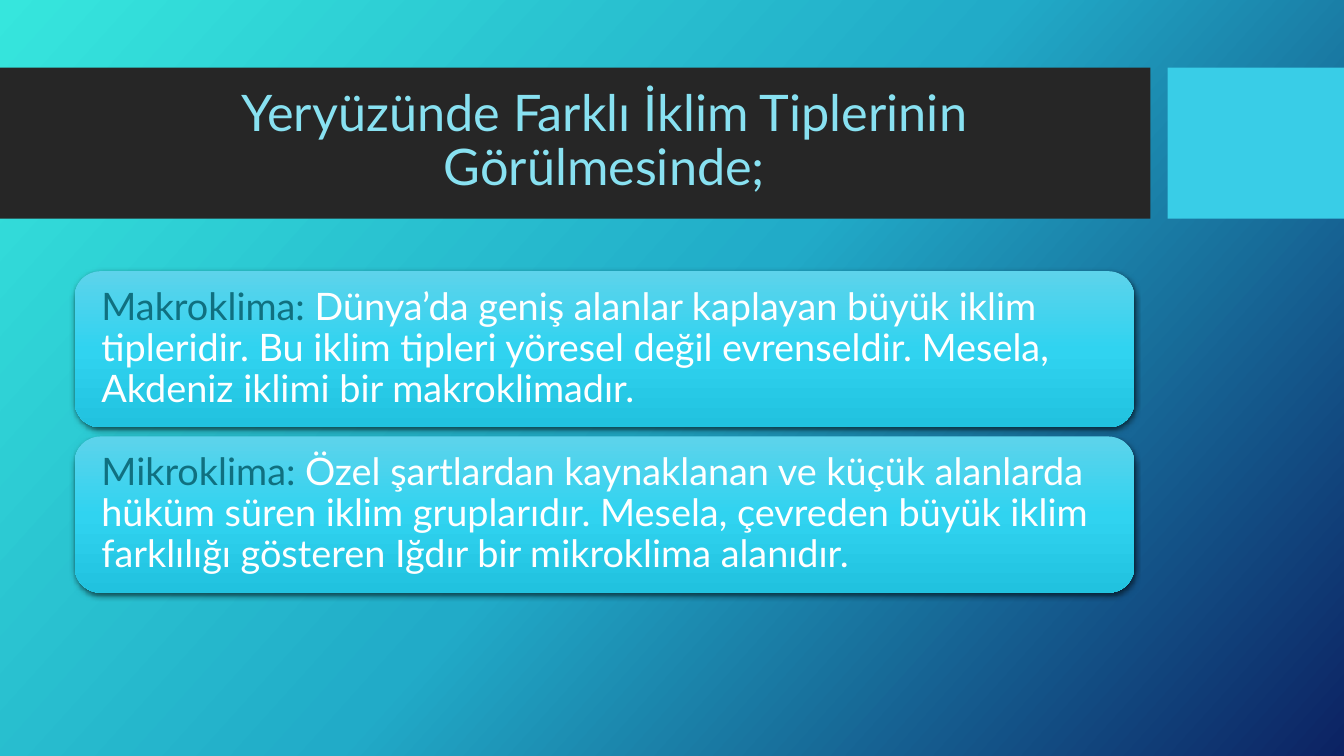
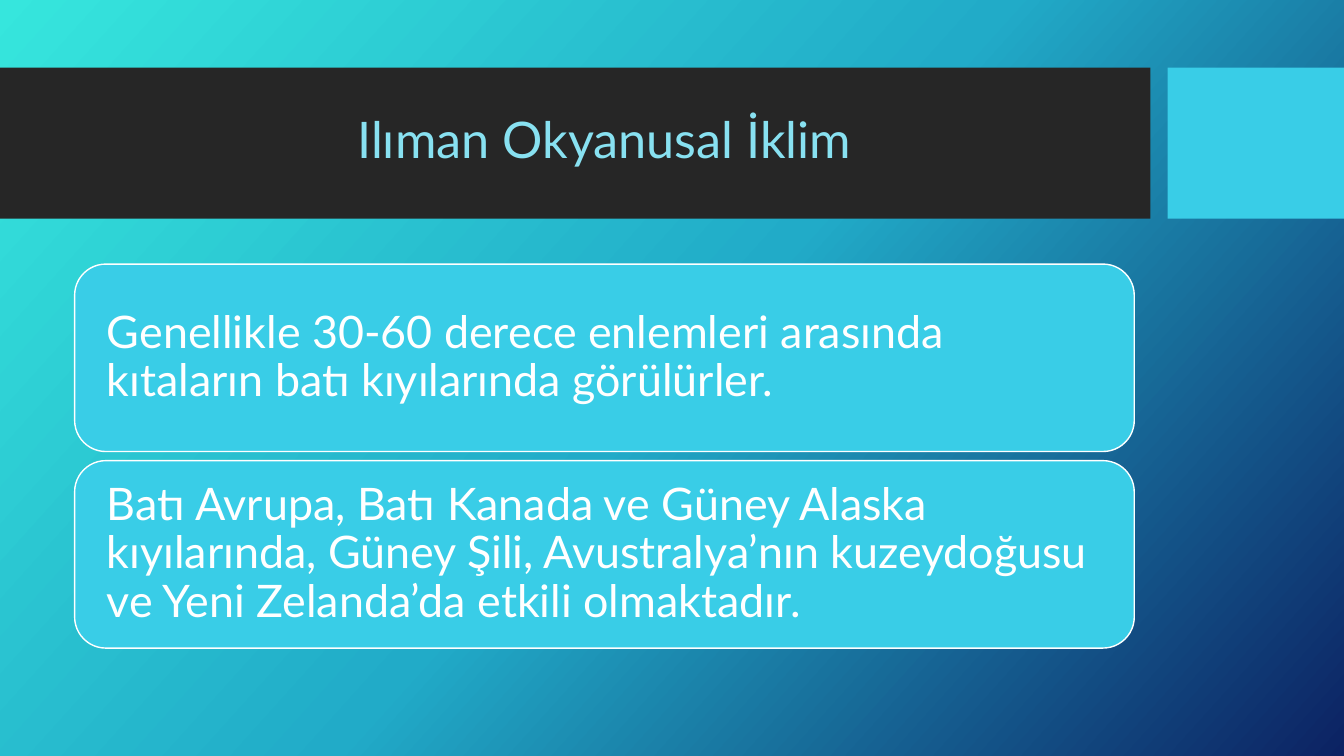
import copy

import lxml.etree
import pptx
import pptx.dml.color
import pptx.enum.shapes
import pptx.enum.text
import pptx.oxml.ns
import pptx.util

Inches = pptx.util.Inches
Pt = pptx.util.Pt
RGBColor = pptx.dml.color.RGBColor
qn = pptx.oxml.ns.qn

COLORS = {
    "band": "262626",
    "accent": "39CDE7",
    "title": "88E1F1",
    "term": "107080",
    "white": "FFFFFF",
    "shadow": "000000",
}
BACKGROUND = ("36E6DD", "21ABC8", "0C2263")
GLOSS = ("5DD3EB", "30D3F0", "21C2DF")


def add_span(para, text, size=27, color="white", font="Lato"):
    span = para.add_run()
    span.text = text
    span.font.name = font
    span.font.size = Pt(size)
    span.font.color.rgb = RGBColor.from_string(COLORS[color])
    return span


def paint_gradient(fill, root, colors, angle):
    """Spread the colors evenly; the angle runs clockwise in degrees."""
    fill.gradient()
    gradient = next(root.iter(qn("a:gradFill")))
    stops = gradient.find(qn("a:gsLst"))
    while len(stops) < len(colors):
        stops.append(copy.deepcopy(stops[-1]))
    for index, (stop, color) in enumerate(zip(fill.gradient_stops, colors)):
        stop.color.rgb = RGBColor.from_string(color)
        stop.position = index / (len(colors) - 1)
    gradient.find(qn("a:lin")).set("ang", str(angle * 60000))


def add_shadow(shape, blur, distance, opacity):
    """Cast a soft shadow straight down."""
    effects = shape._element.spPr.find(qn("a:effectLst"))
    outer = lxml.etree.SubElement(
        effects, qn("a:outerShdw"), blurRad=str(Pt(blur)),
        dist=str(Pt(distance)), dir="5400000", rotWithShape="0")
    color = lxml.etree.SubElement(outer, qn("a:srgbClr"), val=COLORS["shadow"])
    lxml.etree.SubElement(color, qn("a:alpha"), val=str(opacity * 1000))


class ClimateDeck:
    left, width = 0.74, 10.51
    card_gap = 0.09

    def __init__(self):
        self.deck = pptx.Presentation()
        self.deck.slide_width = Inches(13.33)
        self.deck.slide_height = Inches(7.5)
        self.layout = self.deck.slide_layouts.get_by_name("Title Only")
        self.page = None
        master = self.deck.slide_master
        paint_gradient(master.background.fill, master._element, BACKGROUND, 42)

    def add_page(self, title):
        first = self.page is None
        self.page = self.deck.slides.add_slide(self.layout)
        if first:
            self.add_band(0, 11.41, "band")
            self.add_band(11.58, 1.75, "accent")
        self.add_title(title)

    def add_shape(self, kind, left, top, width, height):
        shape = self.page.shapes.add_shape(
            kind, Inches(left), Inches(top), Inches(width), Inches(height))
        shape.line.fill.background()
        shape.shadow.inherit = False
        return shape

    def add_band(self, left, width, color):
        """Draw a band and hand it to the layout that all pages share."""
        band = self.add_shape(
            pptx.enum.shapes.MSO_SHAPE.RECTANGLE, left, 0.67, width, 1.5)
        band.fill.solid()
        band.fill.fore_color.rgb = RGBColor.from_string(COLORS[color])
        tree = self.layout.shapes._spTree
        band._element.nvSpPr.cNvPr.set("id", str(100 + len(tree)))
        tree.insert(2, band._element)

    def add_title(self, text):
        box = self.page.shapes.title
        box.left, box.top = Inches(self.left), Inches(0.82)
        box.width, box.height = Inches(self.width), Inches(1.18)
        frame = box.text_frame
        frame.auto_size = pptx.enum.text.MSO_AUTO_SIZE.NONE
        frame.vertical_anchor = pptx.enum.text.MSO_ANCHOR.MIDDLE
        para = frame.paragraphs[0]
        para.alignment = pptx.enum.text.PP_ALIGN.CENTER
        para.line_spacing = 0.9
        add_span(para, text, size=36, color="title")

    def add_card(self, top, height, spans, size, inset, glossy):
        card = self.add_shape(
            pptx.enum.shapes.MSO_SHAPE.ROUNDED_RECTANGLE,
            self.left, top, self.width, height)
        if glossy:
            paint_gradient(card.fill, card._element, GLOSS, 90)
            add_shadow(card, blur=4.5, distance=1.5, opacity=63)
        else:
            card.fill.solid()
            card.fill.fore_color.rgb = RGBColor.from_string(COLORS["accent"])
            card.line.color.rgb = RGBColor.from_string(COLORS["white"])
            card.line.width = Pt(1)
        frame = card.text_frame
        frame.word_wrap = True
        frame.vertical_anchor = pptx.enum.text.MSO_ANCHOR.MIDDLE
        frame.margin_left = frame.margin_right = Inches(inset)
        frame.margin_top = frame.margin_bottom = Inches(inset)
        para = frame.paragraphs[0]
        para.alignment = pptx.enum.text.PP_ALIGN.LEFT
        para.line_spacing = 0.9
        for text, color in spans:
            add_span(para, text, size=size, color=color)

    def add_cards(self, top, height, cards, **style):
        for index, spans in enumerate(cards):
            card_top = top + index * (height + self.card_gap)
            self.add_card(card_top, height, spans, **style)


def main():
    climate = ClimateDeck()

    # Climate scales
    climate.add_page("Yeryüzünde Farklı İklim Tiplerinin Görülmesinde;")
    climate.add_cards(2.69, 1.55, [
        [("Makroklima: ", "term"),
         ("Dünya’da geniş alanlar kaplayan büyük iklim tipleridir. "
          "Bu iklim tipleri yöresel değil evrenseldir. "
          "Mesela, Akdeniz iklimi bir makroklimadır.", "white")],
        [("Mikroklima: ", "term"),
         ("Özel şartlardan kaynaklanan ve küçük alanlarda hüküm süren "
          "iklim gruplarıdır. Mesela, çevreden büyük iklim farklılığı "
          "gösteren Iğdır bir mikroklima alanıdır.", "white")],
    ], size=27, inset=0.19, glossy=True)

    # Temperate oceanic climate
    climate.add_page("Ilıman Okyanusal İklim")
    climate.add_cards(2.62, 1.86, [
        [("Genellikle 30-60 derece enlemleri arasında kıtaların batı "
          "kıyılarında görülürler.", "white")],
        [("Batı Avrupa, Batı Kanada ve Güney Alaska kıyılarında, Güney Şili, "
          "Avustralya’nın kuzeydoğusu ve Yeni Zelanda’da etkili olmaktadır.",
          "white")],
    ], size=32, inset=0.23, glossy=False)

    climate.deck.save("out.pptx")


if __name__ == "__main__":
    main()
